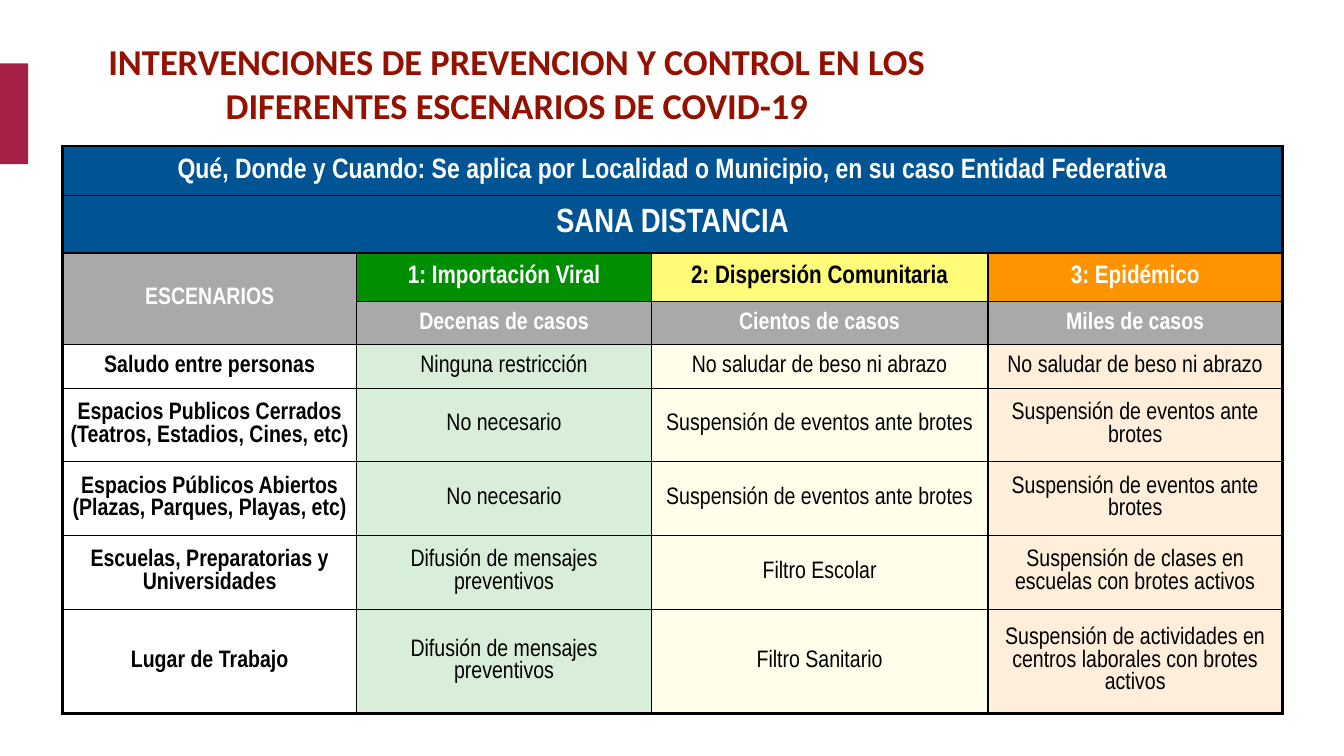
from dataclasses import dataclass

from lxml.etree import SubElement
from pptx import Presentation
from pptx.dml.color import RGBColor
from pptx.enum.shapes import MSO_SHAPE as Shape
from pptx.enum.text import MSO_ANCHOR as Anchor, MSO_AUTO_SIZE as AutoSize, PP_ALIGN as Align
from pptx.oxml import parse_xml
from pptx.oxml.ns import nsdecls, qn
from pptx.util import Pt

PX = 9144


@dataclass(frozen=True)
class Theme:
    """Colours, fonts and type sizes of the slide."""
    accent: str = "A42145"
    title: str = "941100"
    banner: str = "005493"
    grey: str = "A9A9A9"
    white: str = "FFFFFF"
    black: str = "000000"
    stages: tuple = ("008F00", "FFFC79", "FF9300")
    stage_text: tuple = ("FFFFFF", "000000", "FFFFFF")
    tint: int = 15
    title_font: str = "Calibri"
    table_font: str = "Arial Narrow"
    title_size: int = 26
    banner_sizes: tuple = (20, 24)
    stage_size: int = 18
    body_size: int = 17


THEME = Theme()
COLUMNS = (292, 292, 334, 292)
ROWS = (49, 57, 48, 43, 43, 73, 73, 73, 104)
ROW_RULES = (2, 0.35, 1, 0.35, 0.5, 0.35, 0.35, 0.35, 0.35, 2)
COLUMN_RULES = (2, 1, 1, 1, 2)
TITLE = "INTERVENCIONES DE PREVENCION Y CONTROL EN LOS DIFERENTES ESCENARIOS DE COVID-19"
BANNERS = (
    "Qué, Donde y Cuando: Se aplica por Localidad o Municipio, en su caso Entidad Federativa",
    "SANA DISTANCIA",
)
STAGES = ("1: Importación Viral", "2: Dispersión Comunitaria", "3: Epidémico")
CASES = ("Decenas de casos", "Cientos de casos", "Miles de casos")
EVENTS = "Suspensión de eventos ante brotes"
GREETING = "No saludar de beso ni abrazo"
MESSAGES = "Difusión de mensajes preventivos"
MEASURES = (
    ("Saludo entre personas", "Ninguna restricción", GREETING, GREETING),
    ("Espacios Publicos Cerrados (Teatros, Estadios, Cines, etc)", "No necesario", EVENTS, EVENTS),
    ("Espacios Públicos Abiertos (Plazas, Parques, Playas, etc)", "No necesario", EVENTS, EVENTS),
    ("Escuelas, Preparatorias y Universidades", MESSAGES, "Filtro Escolar",
     "Suspensión de clases en escuelas con brotes activos"),
    ("Lugar de Trabajo", MESSAGES, "Filtro Sanitario",
     "Suspensión de actividades en centros laborales con brotes activos"),
)


def place(shape, left, top, width, height):
    """Move and size a shape in px."""
    shape.left, shape.top = left * PX, top * PX
    shape.width, shape.height = width * PX, height * PX


def style_text(para, font, size, color, bold=True):
    """Centre a paragraph and set its font."""
    para.alignment = Align.CENTER
    para.font.name, para.font.size, para.font.bold = font, Pt(size), bold
    para.font.color.rgb = RGBColor.from_string(color)


def add_title(page):
    """Fill the title placeholder."""
    title = page.shapes.title
    place(title, 50, 35, 926, 94)
    frame = title.text_frame
    frame.text = TITLE
    frame.word_wrap = True
    frame.auto_size = AutoSize.SHAPE_TO_FIT_TEXT
    frame.vertical_anchor = Anchor.MIDDLE
    frame.margin_left = frame.margin_right = frame.margin_top = frame.margin_bottom = 5 * PX
    style_text(frame.paragraphs[0], THEME.title_font, THEME.title_size, THEME.title)


def add_accent(page):
    """Draw the coloured block on the left edge."""
    block = page.shapes.add_shape(Shape.RECTANGLE, 0, 63 * PX, 28 * PX, 100 * PX)
    block.shadow.inherit = False
    block.fill.solid()
    block.fill.fore_color.rgb = RGBColor.from_string(THEME.accent)
    block.line.fill.background()


def fill_cell(cell, text, fill, size=THEME.body_size, color=THEME.white, bold=True, opacity=100):
    """Write one cell with its fill and type."""
    cell.text = text
    cell.vertical_anchor = Anchor.MIDDLE
    cell.margin_left = cell.margin_right = cell.margin_top = cell.margin_bottom = 6 * PX
    style_text(cell.text_frame.paragraphs[0], THEME.table_font, size, color, bold)
    cell.fill.solid()
    cell.fill.fore_color.rgb = RGBColor.from_string(fill)
    if opacity < 100:
        tone = cell._tc.tcPr.find(qn("a:solidFill"))[0]
        SubElement(tone, qn("a:alpha"), val=str(opacity * 1000))


def rule_cell(cell, row, column):
    """Draw the four borders of a cell from the rules of the grid."""
    widths = {
        "lnL": COLUMN_RULES[column],
        "lnR": COLUMN_RULES[column + cell.span_width],
        "lnT": ROW_RULES[row],
        "lnB": ROW_RULES[row + cell.span_height],
    }
    for index, (side, width) in enumerate(widths.items()):
        border = parse_xml(
            f'<a:{side} {nsdecls("a")} w="{Pt(width)}"><a:solidFill>'
            f'<a:srgbClr val="{THEME.black}"/></a:solidFill></a:{side}>'
        )
        cell._tc.get_or_add_tcPr().insert(index, border)


def add_grid(page):
    """Add the empty table with its sizes and merged cells."""
    grid = page.shapes.add_table(
        len(ROWS), len(COLUMNS), 62 * PX, 145 * PX, sum(COLUMNS) * PX, sum(ROWS) * PX
    ).table
    grid.first_row = grid.horz_banding = False
    for column, width in zip(grid.columns, COLUMNS):
        column.width = width * PX
    for row, height in zip(grid.rows, ROWS):
        row.height = height * PX
    for row in range(len(BANNERS)):
        grid.cell(row, 0).merge(grid.cell(row, len(COLUMNS) - 1))
    grid.cell(2, 0).merge(grid.cell(3, 0))
    return grid


def add_measures(page):
    """Build the table of measures by stage."""
    grid = add_grid(page)
    for row, (text, size) in enumerate(zip(BANNERS, THEME.banner_sizes)):
        fill_cell(grid.cell(row, 0), text, THEME.banner, size)
    fill_cell(grid.cell(2, 0), "ESCENARIOS", THEME.grey)
    for column, (stage, cases) in enumerate(zip(STAGES, CASES), 1):
        tone, ink = THEME.stages[column - 1], THEME.stage_text[column - 1]
        fill_cell(grid.cell(2, column), stage, tone, THEME.stage_size, ink)
        fill_cell(grid.cell(3, column), cases, THEME.grey)
    for row, (place_name, *actions) in enumerate(MEASURES, 4):
        fill_cell(grid.cell(row, 0), place_name, THEME.white, color=THEME.black)
        for column, (action, tone) in enumerate(zip(actions, THEME.stages), 1):
            fill_cell(grid.cell(row, column), action, tone, color=THEME.black,
                      bold=False, opacity=THEME.tint)
    for row in range(len(ROWS)):
        for column in range(len(COLUMNS)):
            cell = grid.cell(row, column)
            if not cell.is_spanned:
                rule_cell(cell, row, column)


def main():
    """Build and save the deck."""
    deck = Presentation()
    deck.slide_width, deck.slide_height = 1333 * PX, 750 * PX
    page = deck.slides.add_slide(deck.slide_layouts[5])
    add_accent(page)
    add_measures(page)
    add_title(page)
    deck.save("out.pptx")


if __name__ == "__main__":
    main()
